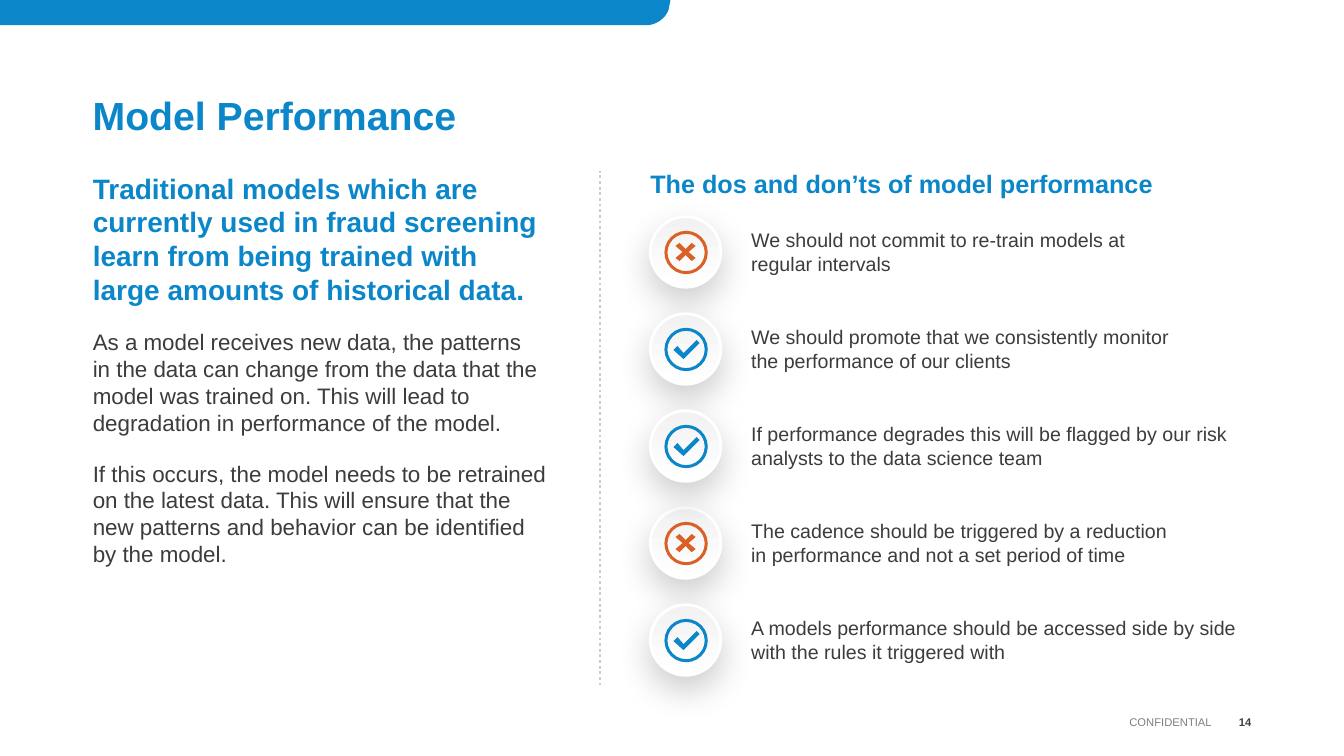
from lxml import etree
from pptx import Presentation
from pptx import util as u
from pptx.dml.color import RGBColor
from pptx.enum import dml, shapes, text
from pptx.oxml import ns

BLUE, ORANGE, BODY = "0A86C9", "DB6026", "3C3C3C"


def color(value):
    return RGBColor.from_string(value)


def add_text(box, words, size, ink, bold=False, align="LEFT", anchor="TOP", before=0, spacing=1.0):
    frame = slide.shapes.add_textbox(*map(u.Inches, box)).text_frame
    frame.word_wrap = True
    frame.margin_left = frame.margin_right = frame.margin_top = frame.margin_bottom = 0
    frame.vertical_anchor = text.MSO_ANCHOR[anchor]
    frame.text = words
    paragraph = frame.paragraphs[0]
    paragraph.alignment = text.PP_ALIGN[align]
    paragraph.space_before = u.Pt(before)
    paragraph.line_spacing = spacing
    for run in paragraph.runs:
        run.font.name, run.font.size, run.font.bold = "Arial", u.Pt(size), bold
        run.font.color.rgb = color(ink)


def add_outline(points, fill):
    corners = [(u.Inches(x), u.Inches(y)) for x, y in points]
    builder = slide.shapes.build_freeform(*corners[0])
    builder.add_line_segments(corners[1:], close=True)
    outline = builder.convert_to_shape()
    outline.shadow.inherit = False
    outline.fill.solid()
    outline.fill.fore_color.rgb = color(fill)
    outline.line.fill.background()


deck = Presentation()
deck.slide_width, deck.slide_height = u.Inches(13.33), u.Inches(7.5)
slide = deck.slides.add_slide(deck.slide_layouts[6])

# Top band with a rounded lower right corner
curve = [(6.63, 0.1), (6.6, 0.18), (6.51, 0.25), (6.41, 0.25)]
corner = []
for step in range(13):
    t = step / 12
    weights = [(1 - t) ** 3, 3 * t * (1 - t) ** 2, 3 * t ** 2 * (1 - t), t ** 3]
    corner.append([sum(w * p[axis] for w, p in zip(weights, curve)) for axis in (0, 1)])
add_outline([(0, 0), (6.65, 0), *corner, (0, 0.25)], BLUE)

# Footer
add_text((12.02, 7.06, 0.39, 0.2), "14", 8, "404040", True, "RIGHT", "MIDDLE")
add_text((4.78, 7.06, 7.24, 0.2), "CONFIDENTIAL", 8, "7F7F7F", False, "RIGHT", "MIDDLE")

# Title and left column
add_text((0.92, 0.79, 11.5, 0.59), "Model Performance", 28, BLUE, True, anchor="BOTTOM", spacing=0.9)
add_text((0.92, 1.7, 4.52, 1.35),
         "Traditional models which are currently used in fraud screening "
         "learn from being trained with large amounts of historical data.",
         20, BLUE, True, before=8)
explanations = [
    (3.26, "As a model receives new data, the patterns\vin the data can change from the data that the "
           "model was trained on. This will lead to degradation in performance of the model."),
    (4.56, "If this occurs, the model needs to be retrained on the latest data. This will ensure that "
           "the new patterns and behavior can be identified by the model."),
]
for top, words in explanations:
    add_text((0.92, top, 4.52, 1.08), words, 16, BODY, before=8)

# Marks, as offsets from the centre of the badge
cross = [(0.1, -0.06), (0.03, 0), (0.1, 0.06), (0.06, 0.09), (0, 0.03), (-0.06, 0.09),
         (-0.1, 0.06), (-0.03, 0), (-0.1, -0.06), (-0.06, -0.09), (0, -0.03), (0.06, -0.09)]
check = [(0.14, -0.06), (-0.02, 0.1), (-0.12, 0.01), (-0.08, -0.03), (-0.02, 0.04), (0.11, -0.09)]

# Don'ts lie behind the dos; the number is the row
advice = [
    (0, cross, ORANGE, "We should not commit to re-train models at\vregular intervals"),
    (3, cross, ORANGE, "The cadence should be triggered by a reduction\vin performance and not a set period of time"),
    (1, check, BLUE, "We should promote that we consistently monitor\vthe performance of our clients"),
    (2, check, BLUE, "If performance degrades this will be flagged by our risk analysts to the data science team"),
    (4, check, BLUE, "A models performance should be accessed side by side with the rules it triggered with"),
]
center_x = 6.8
for row, mark, ink, words in advice:
    center_y = 2.5 + row * 0.9625

    # Badge with a soft shadow
    badge = slide.shapes.add_shape(shapes.MSO_SHAPE.OVAL, u.Inches(center_x - 0.35),
                                   u.Inches(center_y - 0.35), u.Inches(0.7), u.Inches(0.7))
    badge.fill.gradient()
    badge.fill.gradient_angle = 90
    for stop, shade, position in zip(badge.fill.gradient_stops, ("FFFFFF", "F2F2F2"), (0, 1)):
        stop.color.rgb, stop.position = color(shade), position
    badge.line.color.rgb, badge.line.width = color("FFFFFF"), u.Pt(2)
    badge.shadow.inherit = False
    shadow = etree.SubElement(badge._element.spPr.find(ns.qn("a:effectLst")), ns.qn("a:outerShdw"),
                              blurRad=str(u.Pt(25)), dist=str(u.Pt(10)), dir="5400000",
                              algn="t", rotWithShape="0")
    shadow_color = etree.SubElement(shadow, ns.qn("a:srgbClr"), val="000000")
    etree.SubElement(shadow_color, ns.qn("a:alpha"), val="20000")

    # Ring and mark
    ring = slide.shapes.add_shape(shapes.MSO_SHAPE.DONUT, u.Inches(center_x - 0.21),
                                  u.Inches(center_y - 0.21), u.Inches(0.43), u.Inches(0.43))
    ring.adjustments[0] = 0.07
    ring.shadow.inherit = False
    ring.fill.solid()
    ring.fill.fore_color.rgb = color(ink)
    ring.line.fill.background()
    add_outline([(center_x + x, center_y + y) for x, y in mark], ink)

    add_text((7.45, center_y - 0.24, 4.9, 0.47), words, 14, BODY, anchor="MIDDLE", before=8)

# Right column heading and dotted divider
add_text((6.45, 1.7, 5.97, 0.27), "The dos and don’ts of model performance", 18, BLUE, True, spacing=0.9)
divider = slide.shapes.add_connector(shapes.MSO_CONNECTOR.STRAIGHT, u.Inches(5.95), u.Inches(6.8),
                                     u.Inches(5.95), u.Inches(1.7))
divider.line.color.rgb, divider.line.width = color("CCCCCC"), u.Pt(2)
divider.line.dash_style = dml.MSO_LINE.ROUND_DOT
etree.SubElement(divider._element.spPr, ns.qn("a:effectLst"))

deck.save("out.pptx")
